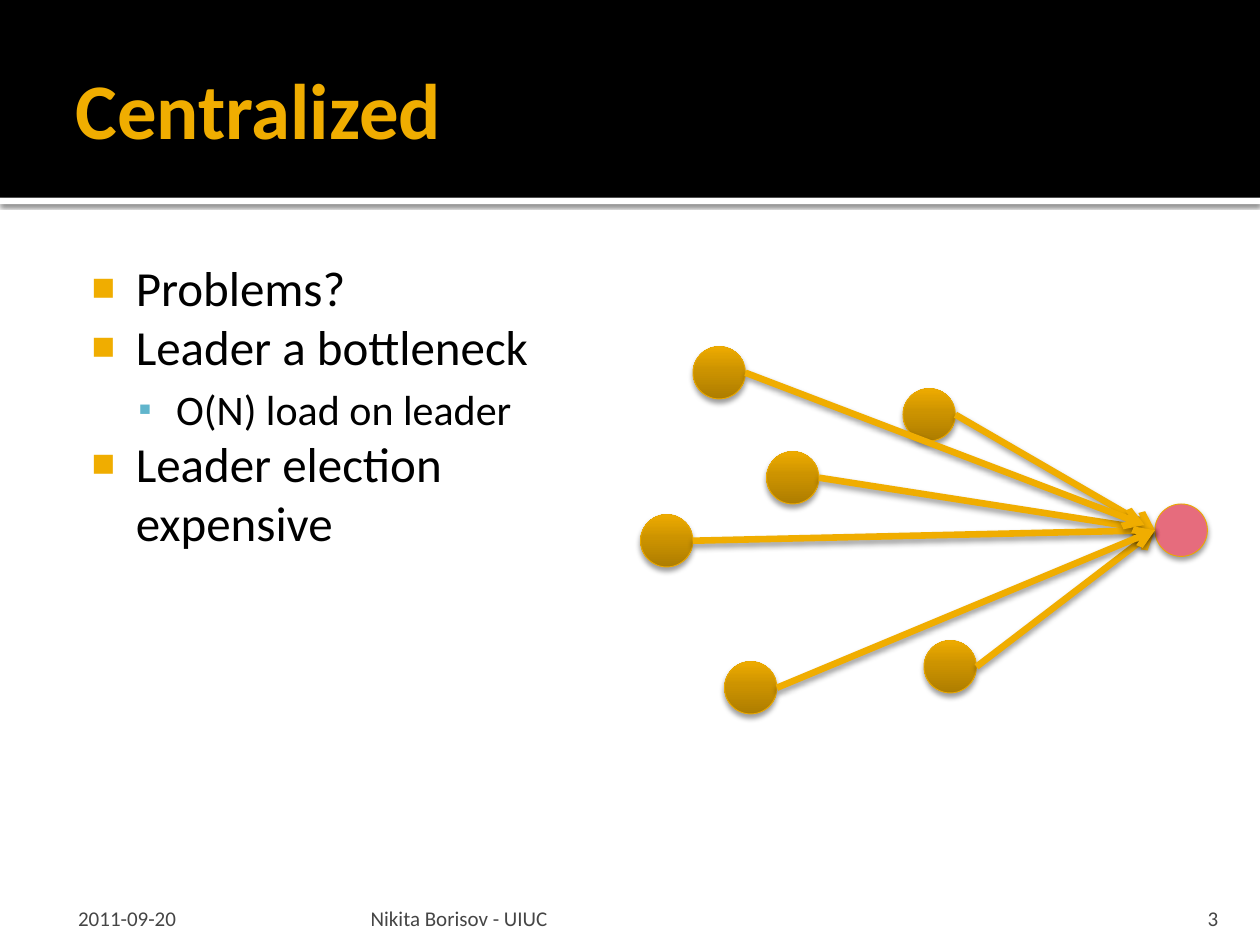
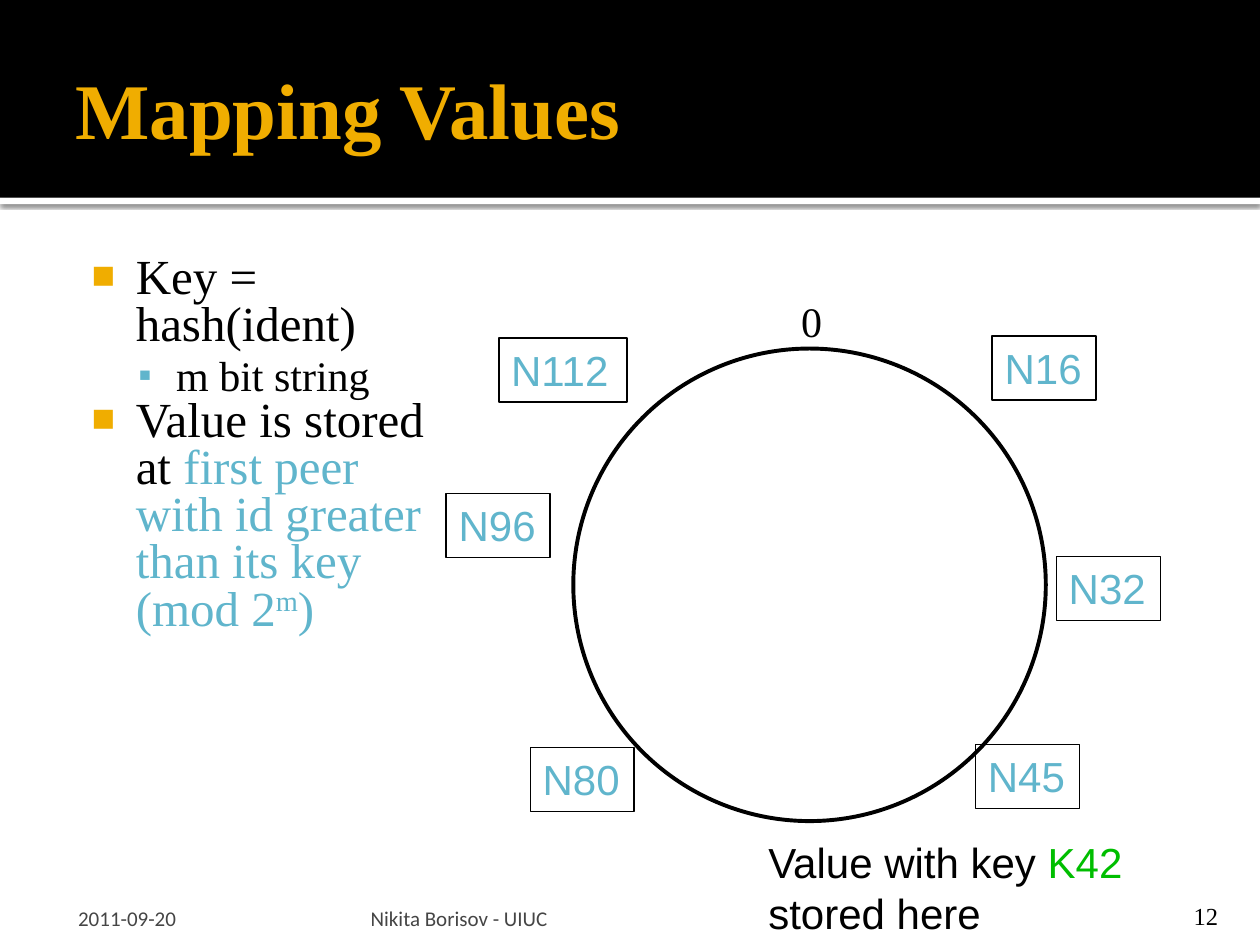
from lxml import etree
from pptx import Presentation
from pptx.dml.color import RGBColor
from pptx.enum.shapes import MSO_CONNECTOR as CONN, MSO_SHAPE as SHAPE
from pptx.enum.text import MSO_ANCHOR as ANCHOR, PP_ALIGN as ALIGN
from pptx.oxml import parse_xml
from pptx.oxml.ns import nsdecls, qn
from pptx.util import Inches, Pt

prs = Presentation()
prs.slide_width, prs.slide_height = Inches(10), Inches(7.5)
U = prs.slide_width // 120
rgb = RGBColor.from_string
NS = nsdecls("a")
GOLD, BLUE, BLACK, WHITE, GREY = "F0AD00", "60B5CC", "000000", "FFFFFF", "454545"
EDGE, ROSE, GREEN = "EBA900", "E66C7D", "00BE00"
CAL, TIMES, ARIAL = "Calibri", "Times New Roman", "Arial"
BULLETS = [
    dict(char="■", color=GOLD, size=80, left=0.48, hang=-0.35, before=0),
    dict(char="▪", color=BLUE, size=90, left=0.8, hang=-0.3, before=4.8),
]


def add_shadow(sp, alpha, blur, dist):
    pr = sp._element.spPr
    for old in pr.findall(qn("a:effectLst")):
        pr.remove(old)
    pr.append(parse_xml(
        f'<a:effectLst {NS}><a:outerShdw blurRad="{Pt(blur)}" dist="{Pt(dist)}" '
        f'dir="5400000" algn="ctr" rotWithShape="0"><a:srgbClr val="{BLACK}">'
        f'<a:alpha val="{alpha * 1000}"/></a:srgbClr></a:outerShdw></a:effectLst>'))


def add_text(s, cell, paras, font, ins=(1.2, 0.6, 1.2, 0.6), fmt={}, **frame):
    sp = s.shapes.add_textbox(*(int(v * U) for v in cell))
    tf = sp.text_frame
    sides = ("margin_left", "margin_top", "margin_right", "margin_bottom")
    settings = dict(zip(sides, (int(v * U) for v in ins)), word_wrap=True)
    for k, v in {**settings, **frame}.items():
        setattr(tf, k, v)
    for i, (level, runs) in enumerate(paras):
        p = tf.paragraphs[0] if i == 0 else tf.add_paragraph()
        if level is not None:
            b = BULLETS[level]
            p.level = level
            pPr = p._p.get_or_add_pPr()
            pPr.set("marL", str(Inches(b["left"])))
            pPr.set("indent", str(Inches(b["hang"])))
            color = etree.SubElement(pPr, qn("a:buClr"))
            etree.SubElement(color, qn("a:srgbClr"), val=b["color"])
            etree.SubElement(pPr, qn("a:buSzPct"), val=str(b["size"] * 1000))
            etree.SubElement(pPr, qn("a:buFont"), typeface=ARIAL)
            etree.SubElement(pPr, qn("a:buChar"), char=b["char"])
            if b["before"]:
                p.space_before = Pt(b["before"])
        for k, v in fmt.items():
            setattr(p, k, v)
        for text, change in runs:
            look = {**font, **change}
            r = p.add_run()
            r.text = text
            r.font.color.rgb = rgb(look.pop("color"))
            r.font.size = Pt(look.pop("size"))
            if "baseline" in look:
                r._r.get_or_add_rPr().set("baseline", str(look.pop("baseline")))
            for k, v in look.items():
                setattr(r.font, k, v)
    return sp


small = dict(name=CAL, size=12, color=GREY)
blue = dict(color=BLUE)
pages = [
    dict(title="Centralized", font=CAL, width=53, fmt={}, number="3", number_font=small,
         body=[(0, [("Problems?", {})]),
               (0, [("Leader a bottleneck", {})]),
               (1, [("O(N) load on leader", dict(size=24))]),
               (0, [("Leader election expensive", {})])]),
    dict(title="Mapping Values", font=TIMES, width=36, fmt=dict(line_spacing=0.8),
         number="12", number_font=dict(name=TIMES, size=14, color=BLACK),
         body=[(0, [("Key = hash(ident)", {})]),
               (1, [("m bit string", dict(size=24))]),
               (0, [("Value is stored at ", {}),
                    ("first peer with id greater than its key (mod 2", blue),
                    ("m", dict(color=BLUE, baseline=30000)),
                    (")", blue)])]),
]
slides = []
for page in pages:
    s = prs.slides.add_slide(prs.slide_layouts[6])
    slides.append(s)
    for top, height, color in ((18.84, 0.6, WHITE), (0, 18.84, BLACK)):
        sp = s.shapes.add_shape(SHAPE.RECTANGLE, 0, int(top * U), prs.slide_width, int(height * U))
        sp.shadow.inherit = False
        sp.fill.solid()
        sp.fill.fore_color.rgb = rgb(color)
        sp.line.fill.background()
        if color == WHITE:
            add_shadow(sp, 60, 2.5, 0.8)
    add_text(s, (6, 2, 108, 16.5), [(None, [(page["title"], {})])],
             dict(name=page["font"], size=45, color=GOLD, bold=True),
             (1.2, 0.6, 0.6, 0.6), vertical_anchor=ANCHOR.MIDDLE)
    add_text(s, (6, 23.3, page["width"], 60.7), page["body"],
             dict(name=page["font"], size=28, color=BLACK),
             (1.2, 1.2, 1.2, 0.6), page["fmt"])
    for left, width, text, font, ins, align in (
            (6, 28, "2011-09-20", small, (1.44, 0.6, 0.6, 0), ALIGN.LEFT),
            (34.7, 72.2, "Nikita Borisov - UIUC", small, (0.6, 0.6, 0.6, 0), ALIGN.LEFT),
            (107.6, 9.6, page["number"], page["number_font"], (1.2, 0.6, 1.2, 0), ALIGN.RIGHT)):
        add_text(s, (left, 85, width, 3.6), [(None, [(text, {})])], font, ins,
                 dict(alignment=align), vertical_anchor=ANCHOR.BOTTOM)

s = slides[0]
DOT = 5
leader = (110, 48)
peers = [(88, 61), (73, 43), (61, 49), (86, 37), (66, 33), (69, 63)]
tips = {(66, 33): (109, 50)}
for x, y in peers + [leader]:
    sp = s.shapes.add_shape(SHAPE.OVAL, x * U, y * U, DOT * U, DOT * U)
    if (x, y) == leader:
        sp.fill.solid()
        sp.fill.fore_color.rgb = rgb(ROSE)
    else:
        stops = "".join(f'<a:gs pos="{pos}000"><a:srgbClr val="{c}"/></a:gs>'
                        for pos, c in ((0, "AE7D00"), (55, "CC9300"), (100, "EEAB00")))
        sp._element.spPr.insert(2, parse_xml(
            f'<a:gradFill {NS}><a:gsLst>{stops}</a:gsLst><a:lin ang="16200000" scaled="0"/></a:gradFill>'))
    sp.line.color.rgb = rgb(EDGE)
    sp.line.width = Pt(0.5)
    add_shadow(sp, 38, 3.1, 2)
for x, y in peers:
    tip = tips.get((x, y), (leader[0], leader[1] + DOT / 2))
    ends = (x + DOT, y + DOT / 2, *tip)
    sp = s.shapes.add_connector(CONN.STRAIGHT, *(int(v * U) for v in ends))
    sp.line.color.rgb = rgb(GOLD)
    sp.line.width = Pt(3.78)
    etree.SubElement(sp.line._get_or_add_ln(), qn("a:tailEnd"), type="arrow")
    add_shadow(sp, 38, 3.5, 2)

s = slides[1]
ring = s.shapes.add_shape(SHAPE.OVAL, *(int(v * U) for v in (54.6, 33.2, 45, 45)))
ring.shadow.inherit = False
ring.fill.background()
ring.line.color.rgb = rgb(BLACK)
ring.line.width = Pt(2.25)
add_text(s, (75.1, 27.5, 4.4, 6), [(None, [("0", {})])],
         dict(name=TIMES, size=24, color=BLACK), fmt=dict(alignment=ALIGN.CENTER),
         word_wrap=False, vertical_anchor=ANCHOR.MIDDLE)
add_text(s, (72, 79.1, 36.5, 10.9),
         [(None, [("Value with key ", {}), ("K42", dict(color=GREEN))]),
          (None, [("stored here", {})])],
         dict(name=ARIAL, size=24, color=BLACK), word_wrap=False)
for name, x, y, width, weight in (
        ("N80", 50.5, 71.2, 9.9, 0.75), ("N32", 100.6, 53, 9.9, 0.75),
        ("N45", 92.9, 70.9, 9.9, 0.75), ("N112", 47.5, 32.2, 12.2, 1),
        ("N96", 42.5, 47, 9.9, 1), ("N16", 94.5, 32, 9.9, 1)):
    sp = add_text(s, (x, y, width, 6.1), [(None, [(name, {})])],
                  dict(name=ARIAL, size=24, color=BLUE), word_wrap=False)
    sp.line.color.rgb = rgb(BLACK)
    sp.line.width = Pt(weight)

prs.save("out.pptx")
